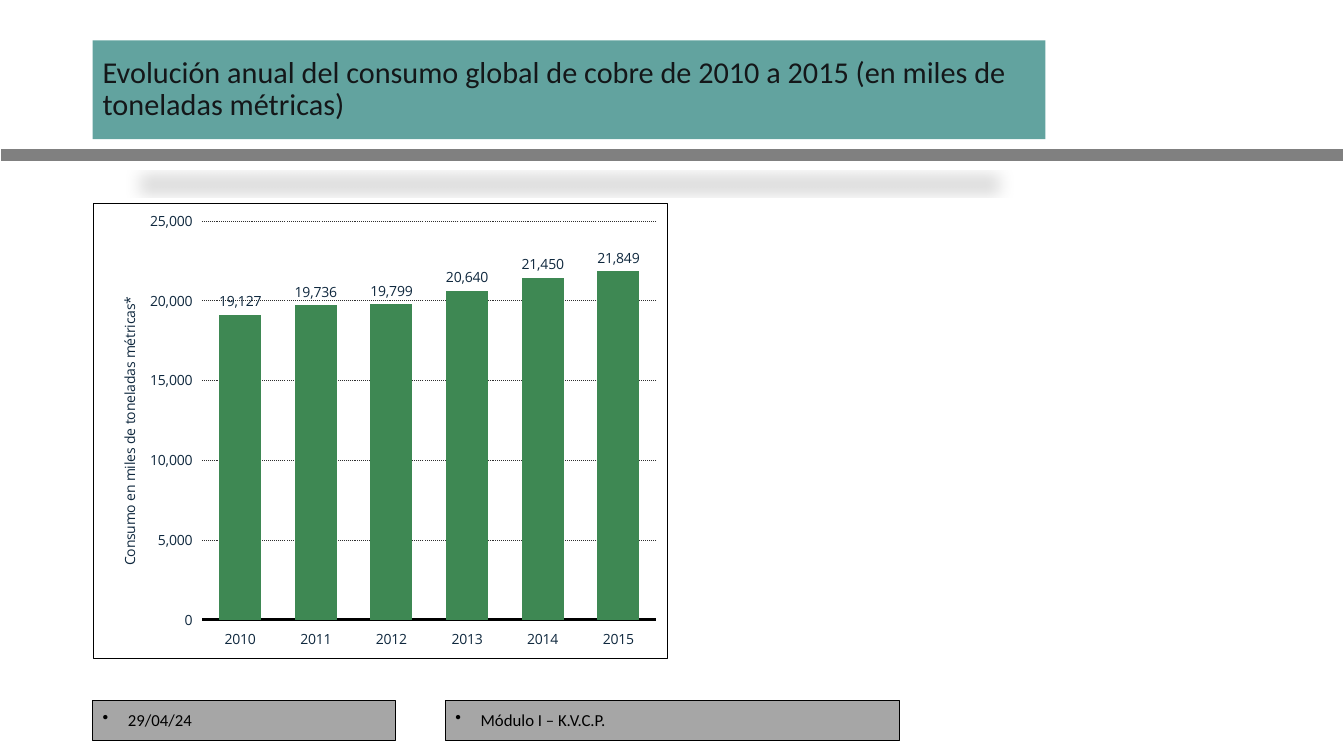
from lxml import etree
from pptx import Presentation
from pptx.chart import data
from pptx.dml.color import RGBColor
from pptx.enum import chart as charts, dml, shapes, text
from pptx.oxml import parse_xml
from pptx.oxml import ns
from pptx.util import Pt

TEAL = RGBColor(0x62, 0xA3, 0x9F)
GREEN = RGBColor(0x3E, 0x88, 0x53)
BAND_GRAY = RGBColor(0x80, 0x80, 0x80)
FOOTER_GRAY = RGBColor(0xA6, 0xA6, 0xA6)
GRID_GRAY = RGBColor(0x2F, 0x2F, 0x2F)
TITLE_INK = RGBColor(0x14, 0x17, 0x19)
NAVY = RGBColor(0x0F, 0x28, 0x3E)
BLACK = RGBColor(0, 0, 0)

SLIDE_WIDTH, SLIDE_HEIGHT = 960, 540
MARGIN = 66.24
CONSUMPTION = {"2010": 19127, "2011": 19736, "2012": 19799,
               "2013": 20640, "2014": 21450, "2015": 21849}


def set_font(font, name, size, color):
    font.name, font.size = name, Pt(size)
    font.color.rgb = color


def add_box(slide, box, fill, content, size, color):
    """Filled rectangle with one left-aligned paragraph."""
    shape = slide.shapes.add_shape(shapes.MSO_SHAPE.RECTANGLE, *map(Pt, box))
    shape.shadow.inherit = False
    shape.fill.solid()
    shape.fill.fore_color.rgb = fill
    shape.line.fill.background()
    frame = shape.text_frame
    frame.word_wrap = True
    frame.vertical_anchor = text.MSO_ANCHOR.MIDDLE
    paragraph = frame.paragraphs[0]
    paragraph.text = content
    paragraph.alignment = text.PP_ALIGN.LEFT
    paragraph.line_spacing = 0.9
    set_font(paragraph.font, "Calibri", size, color)
    return shape


def add_title(slide, box):
    content = ("Evolución anual del consumo global de cobre de 2010 a 2015 "
               "(en miles de toneladas métricas)")
    shape = add_box(slide, box, TEAL, content, 21.6, TITLE_INK)
    # Flattened perspective shadow
    effects = shape._element.spPr.find(ns.qn("a:effectLst"))
    effects.append(parse_xml(
        f'<a:outerShdw {ns.nsdecls("a")} blurRad="{Pt(12)}" dist="{Pt(25)}" '
        'dir="5400000" sx="90000" sy="-19000" rotWithShape="0">'
        '<a:srgbClr val="000000"><a:alpha val="15000"/></a:srgbClr>'
        '</a:outerShdw>'))


def add_band(slide, left, right, middle):
    band = slide.shapes.add_connector(
        shapes.MSO_CONNECTOR.STRAIGHT, *map(Pt, (left, middle, right, middle)))
    band.line.color.rgb = BAND_GRAY
    band.line.width = Pt(8.25)
    etree.SubElement(band._element.spPr, ns.qn("a:effectLst"))


def add_footer_item(slide, box, content):
    shape = add_box(slide, box, FOOTER_GRAY, content, 12, BLACK)
    shape.line.color.rgb = BLACK
    shape.line.width = Pt(0.5)
    properties = shape.text_frame.paragraphs[0]._p.get_or_add_pPr()
    properties.set("marL", str(Pt(18)))
    properties.set("indent", str(-Pt(18)))
    bullet = parse_xml(f'<a:buChar {ns.nsdecls("a")} char="•"/>')
    properties.find(ns.qn("a:defRPr")).addprevious(bullet)


def make_layout(x, y, width=None, height=None):
    """Manual layout in fractions of the chart; a size makes it the inner plot."""
    target = '<c:layoutTarget val="inner"/>' if width else ""
    size = f'<c:w val="{width}"/><c:h val="{height}"/>' if width else ""
    return parse_xml(
        f'<c:layout {ns.nsdecls("c")}><c:manualLayout>{target}'
        '<c:xMode val="edge"/><c:yMode val="edge"/>'
        f'<c:x val="{x}"/><c:y val="{y}"/>{size}</c:manualLayout></c:layout>')


def add_consumption_chart(slide, box):
    chart_data = data.CategoryChartData(number_format="#,##0")
    chart_data.categories = list(CONSUMPTION)
    chart_data.add_series("Series 1", list(CONSUMPTION.values()))
    chart = slide.shapes.add_chart(
        charts.XL_CHART_TYPE.COLUMN_CLUSTERED, *map(Pt, box), chart_data).chart
    chart.has_legend = chart.has_title = False
    set_font(chart.font, "Open Sans", 10, NAVY)

    # Columns and their values
    plot = chart.plots[0]
    plot.gap_width, plot.overlap = 80, -30
    plot.vary_by_categories = False
    columns = plot.series[0].format.fill
    columns.solid()
    columns.fore_color.rgb = GREEN
    plot.has_data_labels = True
    labels = plot.data_labels
    labels.show_value = True
    labels.number_format, labels.number_format_is_linked = "#,##0", False
    labels.position = charts.XL_LABEL_POSITION.OUTSIDE_END
    set_font(labels.font, "Open Sans", 10, NAVY)

    # Axes
    years, amounts = chart.category_axis, chart.value_axis
    for axis in (years, amounts):
        axis.major_tick_mark = axis.minor_tick_mark = charts.XL_TICK_MARK.NONE
        axis.tick_label_position = charts.XL_TICK_LABEL_POSITION.LOW
        set_font(axis.tick_labels.font, "Open Sans", 10, NAVY)
    years.format.line.color.rgb = BLACK
    years.format.line.width = Pt(2)
    amounts.format.line.fill.background()
    amounts.minimum_scale, amounts.maximum_scale = 0, 25000
    amounts.major_unit = 5000
    amounts.tick_labels.number_format = "#,##0"
    amounts.tick_labels.number_format_is_linked = False
    grid = amounts.major_gridlines.format.line
    grid.color.rgb = GRID_GRAY
    grid.width = Pt(0.75)
    grid.dash_style = dml.MSO_LINE.ROUND_DOT

    # Axis title
    title = amounts.axis_title
    title.text_frame.text = "Consumo en miles de toneladas métricas*"
    font = title.text_frame.paragraphs[0].font
    set_font(font, "Open Sans", 10, NAVY)
    font.bold = False

    # Placement of the title and the plot, and the chart's frame
    for parent, index, layout in (
            (title._element, 1, make_layout(0.04, 0.2)),
            (chart._chartSpace.chart.plotArea, 0,
             make_layout(0.19, 0.04, 0.79, 0.875))):
        for old in parent.findall(ns.qn("c:layout")):
            parent.remove(old)
        parent.insert(index, layout)
    chart._chartSpace.chart.addnext(parse_xml(
        f'<c:spPr {ns.nsdecls("c", "a")}><a:noFill/><a:ln w="{Pt(0.75)}">'
        '<a:solidFill><a:srgbClr val="000000"/></a:solidFill></a:ln></c:spPr>'))


def main():
    presentation = Presentation()
    presentation.slide_width = Pt(SLIDE_WIDTH)
    presentation.slide_height = Pt(SLIDE_HEIGHT)
    slide = presentation.slides.add_slide(presentation.slide_layouts[6])
    add_band(slide, 0.72, SLIDE_WIDTH - 0.72, 110.88)
    add_title(slide, (MARGIN, 28.8, 680.4, 70.56))
    add_footer_item(slide, (MARGIN, 500.4, 216, 28.8), "29/04/24")
    add_footer_item(slide, (MARGIN + 252, 500.4, 324, 28.8), "Módulo I – K.V.C.P.")
    add_consumption_chart(slide, (MARGIN, 144.72, 411.12, 326.16))
    presentation.save("out.pptx")


if __name__ == "__main__":
    main()
